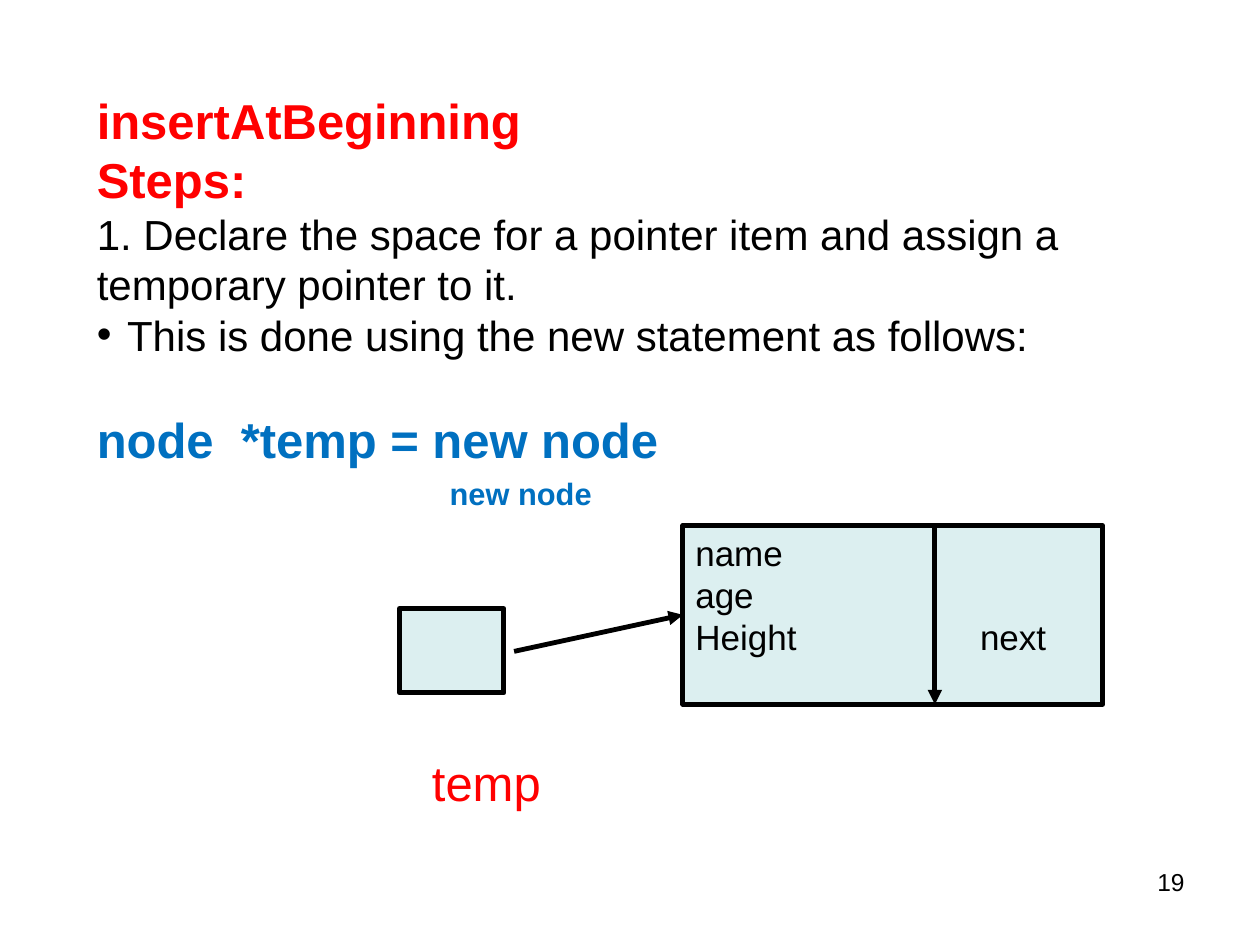
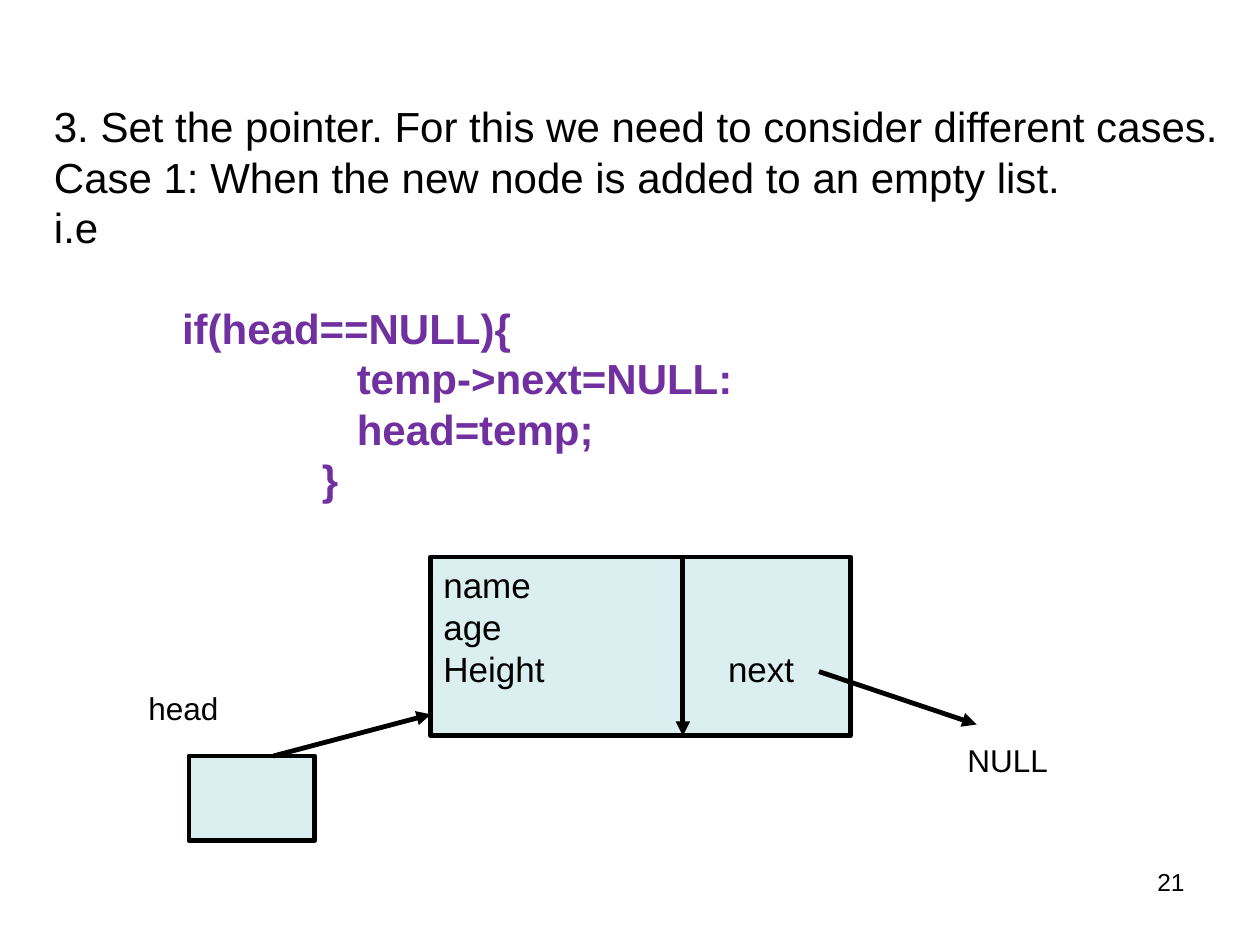
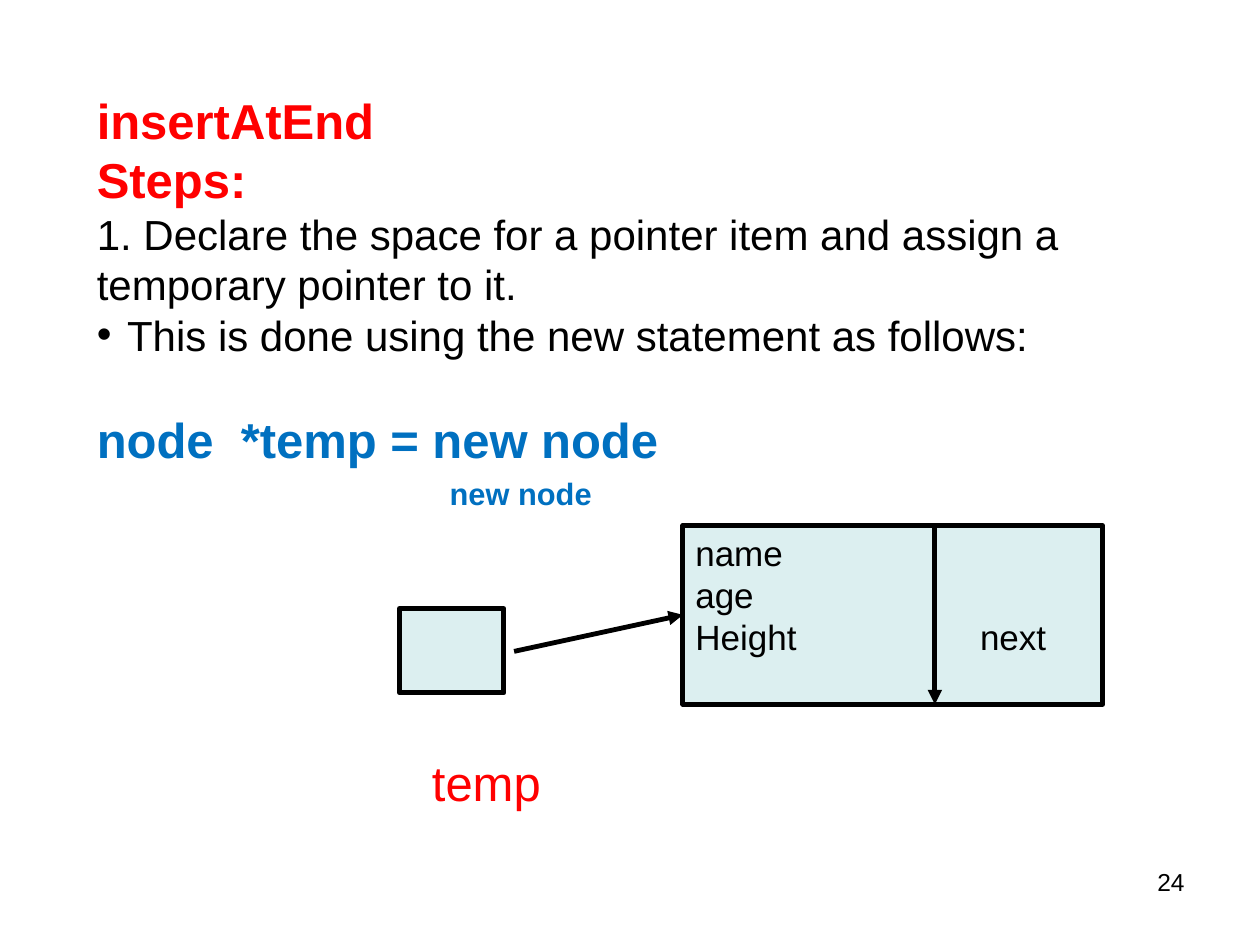
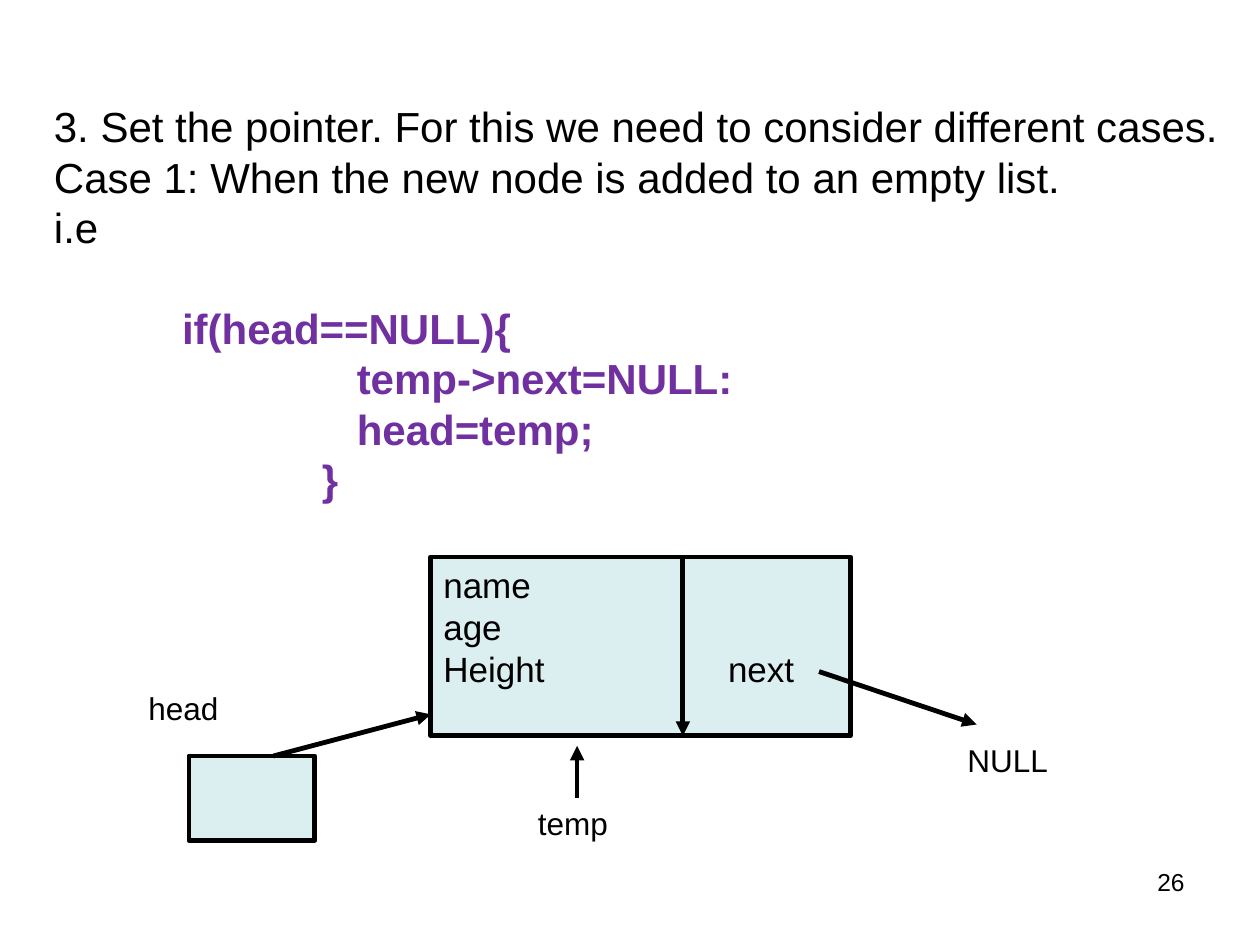
"""Build four slides on inserting nodes into a linked list."""
from typing import NamedTuple, Optional

from lxml import etree
from pptx import Presentation
from pptx import util as u
from pptx.dml.color import RGBColor
from pptx.enum import shapes, text
from pptx.oxml.ns import qn

COLORS = {
    "ink": "000000",
    "heading": "FF0000",
    "statement": "0070C0",
    "code": "7030A0",
    "node": "BBE0E3",
}
FONT = "Arial"
LINE_WIDTH = 2.75
NODE_WIDTH, NODE_HEIGHT, NODE_SPLIT = 3.33, 1.42, 2.0
NEXT_TAB = 2.26
BULLET_INDENT = 0.24
BLANK_LINE = 28.8


class Line(NamedTuple):
    """One paragraph and its format."""
    words: str
    size: float = 24
    color: str = "ink"
    bold: bool = False
    before: float = 0
    bullet: bool = False
    tab: Optional[float] = None
    align: text.PP_ALIGN = text.PP_ALIGN.LEFT


class Box(NamedTuple):
    """A rectangle in inches."""
    left: float
    top: float
    width: float
    height: float


class Arrow(NamedTuple):
    """Start and end of an arrow in inches."""
    x1: float
    y1: float
    x2: float
    y2: float


NUMBER_BOX = Box(7.17, 6.83, 2.33, 0.52)
STEPS_BOX = Box(0.67, 0.67, 8.17, 3.57)
CASE_BOX = Box(0.33, 0.75, 9.67, 3.7)

NODE_FIELDS = [
    Line("name", size=20),
    Line("age", size=20),
    Line("Height\tnext", size=20, tab=NEXT_TAB),
]
STEP_LINES = [
    Line("Steps:", size=28, color="heading", bold=True),
    Line("1. Declare the space for a pointer item and assign a temporary pointer to it."),
    Line("This is done using the new statement as follows:", bullet=True),
    Line("node  *temp = new node", size=28, color="statement", bold=True, before=BLANK_LINE),
]
CASE_LINES = [
    Line("3. Set the pointer. For this we need to consider different cases."),
    Line("Case 1: When the new node is added to an empty list."),
    Line("i.e"),
    Line("           if(head==NULL){", color="code", bold=True, before=BLANK_LINE),
    Line("                          temp->next=NULL:", color="code", bold=True),
    Line("                          head=temp;", color="code", bold=True),
    Line("                       }", color="code", bold=True),
]


def rgb(name: str) -> RGBColor:
    """Return a palette colour."""
    return RGBColor.from_string(COLORS[name])


def add_paragraph_marks(paragraph, line: Line) -> None:
    """Add the bullet and tab elements of a paragraph."""
    props = paragraph._p.get_or_add_pPr()
    if line.bullet:
        indent = u.Inches(BULLET_INDENT)
        props.set("marL", str(indent))
        props.set("indent", str(-indent))
        etree.SubElement(props, qn("a:buFont"), typeface=FONT)
        etree.SubElement(props, qn("a:buChar"), char="•")
    if line.tab is not None:
        tabs = etree.SubElement(props, qn("a:tabLst"))
        etree.SubElement(tabs, qn("a:tab"), pos=str(u.Inches(line.tab)), algn="l")


def write_lines(frame, lines: list[Line]) -> None:
    """Fill a text frame with formatted paragraphs."""
    frame.word_wrap = True
    frame.vertical_anchor = text.MSO_ANCHOR.TOP
    for index, line in enumerate(lines):
        paragraph = frame.paragraphs[0] if index == 0 else frame.add_paragraph()
        add_paragraph_marks(paragraph, line)
        paragraph.alignment = line.align
        if line.before:
            paragraph.space_before = u.Pt(line.before)
        run = paragraph.add_run()
        run.text = line.words
        run.font.name = FONT
        run.font.size = u.Pt(line.size)
        run.font.bold = line.bold
        run.font.color.rgb = rgb(line.color)


def add_lines(slide, box: Box, lines: list[Line]) -> None:
    """Add a text box with several paragraphs."""
    write_lines(slide.shapes.add_textbox(*map(u.Inches, box)).text_frame, lines)


def add_text(slide, box: Box, words: str, **style) -> None:
    """Add a one-line text box with the given format."""
    add_lines(slide, box, [Line(words, **style)])


def add_cell(slide, box: Box):
    """Add a half-transparent memory cell."""
    cell = slide.shapes.add_shape(shapes.MSO_SHAPE.RECTANGLE, *map(u.Inches, box))
    cell.shadow.inherit = False
    cell.fill.solid()
    cell.fill.fore_color.rgb = rgb("node")
    tint = cell.fill._xPr.find(qn("a:solidFill"))[0]
    etree.SubElement(tint, qn("a:alpha"), val="50000")
    cell.line.color.rgb = rgb("ink")
    cell.line.width = u.Pt(LINE_WIDTH)
    return cell


def add_arrow(slide, arrow: Arrow):
    """Add a straight arrow."""
    pointer = slide.shapes.add_connector(shapes.MSO_CONNECTOR.STRAIGHT, *map(u.Inches, arrow))
    pointer.line.color.rgb = rgb("ink")
    pointer.line.width = u.Pt(LINE_WIDTH)
    etree.SubElement(pointer.line._get_or_add_ln(), qn("a:tailEnd"), type="triangle")
    etree.SubElement(pointer._element.spPr, qn("a:effectLst"))
    return pointer


def add_node(slide, left: float, top: float):
    """Add a list node split into its data and next parts."""
    node = add_cell(slide, Box(left, top, NODE_WIDTH, NODE_HEIGHT))
    write_lines(node.text_frame, NODE_FIELDS)
    split = left + NODE_SPLIT
    add_arrow(slide, Arrow(split, top, split, top + NODE_HEIGHT))
    return node


def add_numbered_slide(deck, number: int):
    """Add a blank slide with its number."""
    slide = deck.slides.add_slide(deck.slide_layouts[6])
    add_text(slide, NUMBER_BOX, str(number), size=14, align=text.PP_ALIGN.RIGHT)
    return slide


def add_steps_slide(deck, number: int, operation: str) -> None:
    """Add the slide on declaring a new node."""
    slide = add_numbered_slide(deck, number)
    heading = Line(operation, size=28, color="heading", bold=True)
    add_lines(slide, STEPS_BOX, [heading, *STEP_LINES])
    add_text(slide, Box(3.47, 3.72, 1.6, 0.4), "new node",
             size=17.6, color="statement", bold=True)
    node = add_node(slide, 5.42, 4.17)
    add_cell(slide, Box(3.17, 4.83, 0.83, 0.67))
    add_arrow(slide, Arrow(4.08, 5.17, 5.42, 4.88)).end_connect(node, 1)
    add_text(slide, Box(3.33, 5.92, 1.58, 0.57), "temp", size=28, color="heading")


def add_case_slide(deck, number: int, shows_temp: bool) -> None:
    """Add the slide on inserting into an empty list."""
    slide = add_numbered_slide(deck, number)
    add_lines(slide, CASE_BOX, CASE_LINES)
    add_node(slide, 3.42, 4.42)
    add_arrow(slide, Arrow(6.5, 5.33, 7.75, 5.75))
    add_text(slide, Box(7.58, 5.83, 1.83, 0.4), "NULL", size=18)
    add_cell(slide, Box(1.5, 6, 1, 0.67))
    add_arrow(slide, Arrow(2.17, 6, 3.42, 5.67))
    add_text(slide, Box(1.08, 5.42, 1.17, 0.4), "head", size=18)
    if shows_temp:
        add_text(slide, Box(4.17, 6.33, 1.42, 0.4), "temp", size=18)
        add_arrow(slide, Arrow(4.58, 6.33, 4.58, 5.92))


def main() -> None:
    """Build and save the deck."""
    deck = Presentation()
    deck.slide_width, deck.slide_height = u.Inches(10), u.Inches(7.5)
    add_steps_slide(deck, 19, "insertAtBeginning")
    add_case_slide(deck, 21, shows_temp=False)
    add_steps_slide(deck, 24, "insertAtEnd")
    add_case_slide(deck, 26, shows_temp=True)
    deck.save("out.pptx")


if __name__ == "__main__":
    main()
